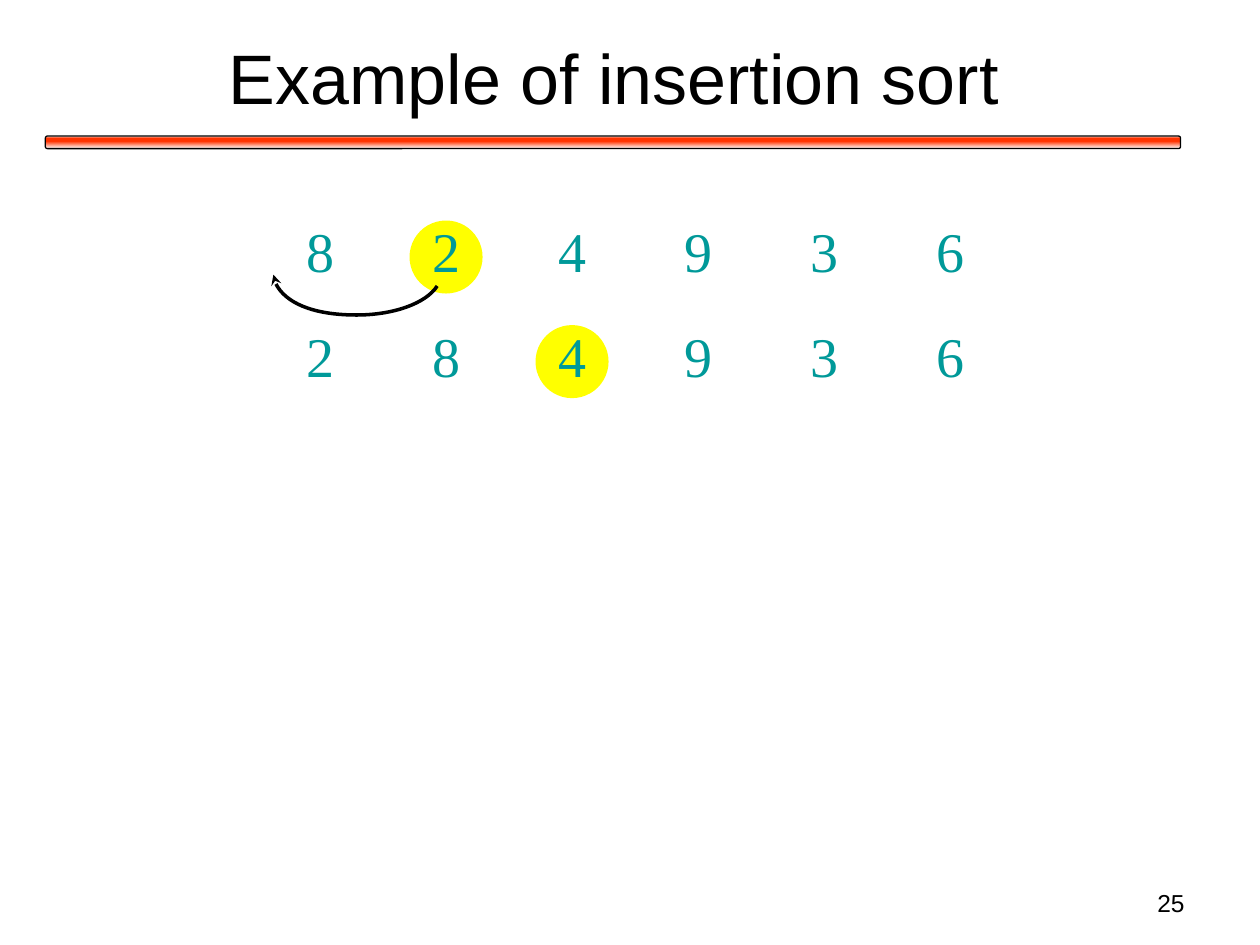
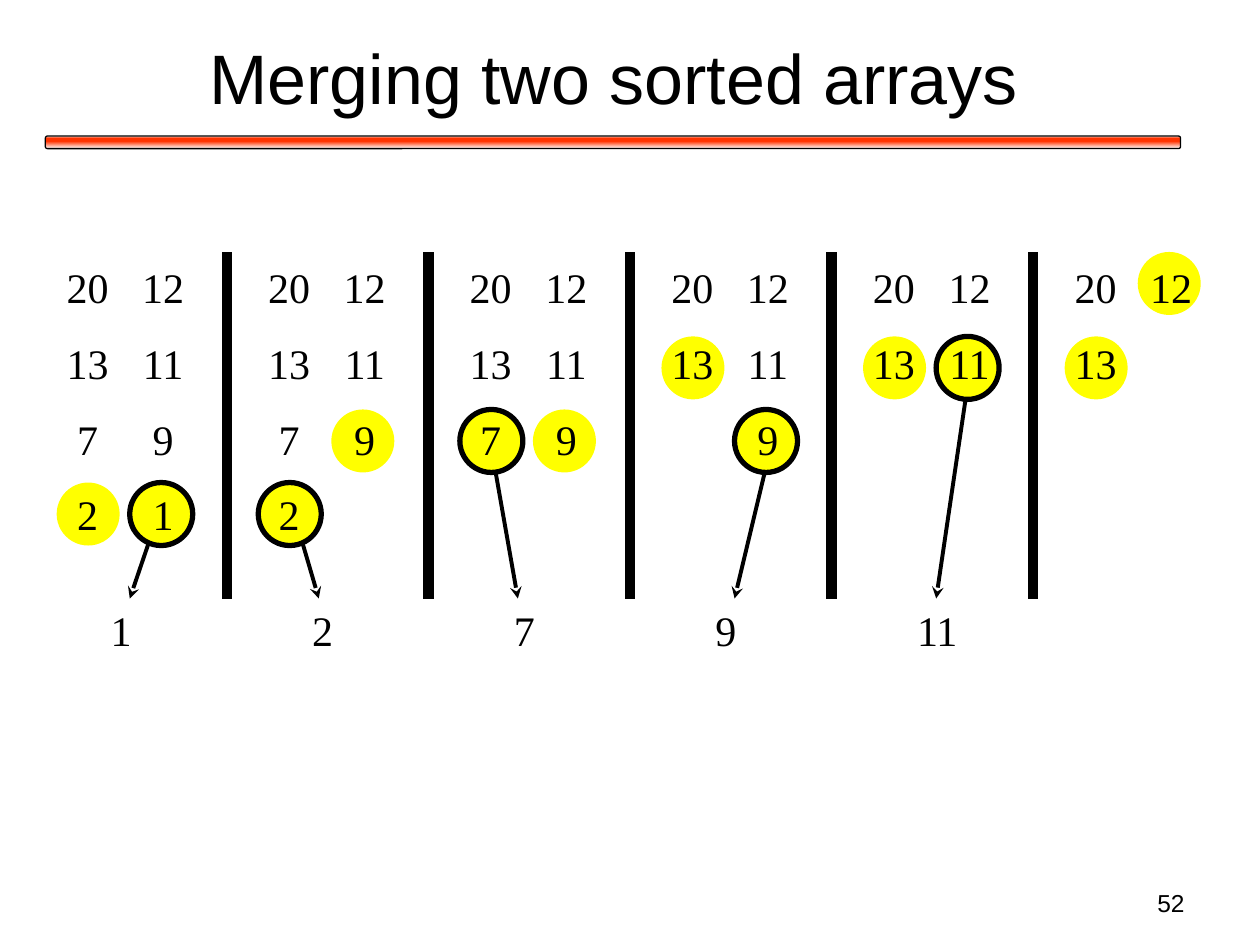
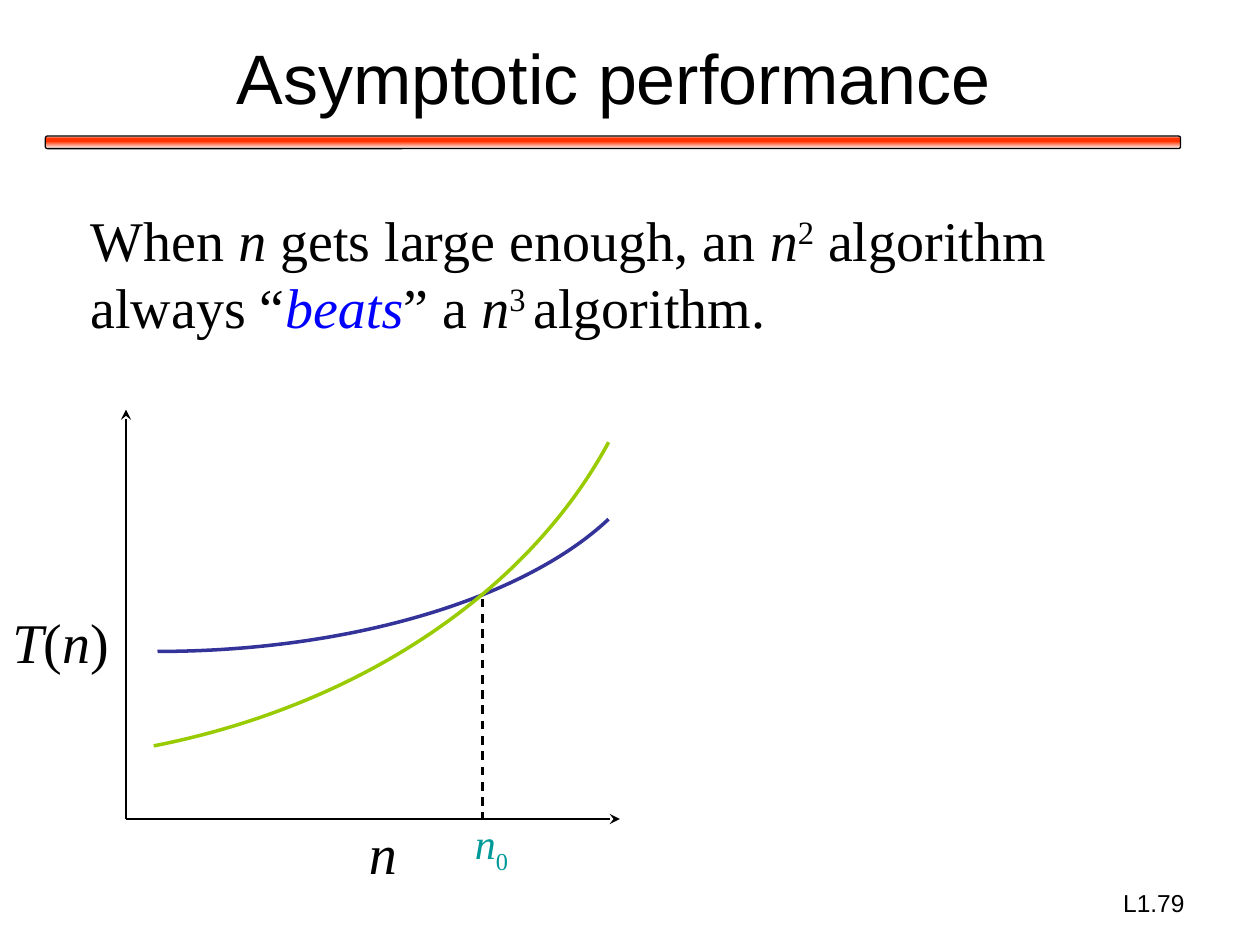
"""Build three algorithm slides: insertion sort, merging and asymptotic growth."""
from pptx import Presentation
from pptx.dml.color import RGBColor
from pptx.enum import dml, shapes, text
from pptx.oxml import ns, xmlchemy
from pptx.util import Inches, Pt

COLORS = {
    "black": "000000",
    "white": "FFFFFF",
    "red": "FF3300",
    "yellow": "FFFF00",
    "teal": "009999",
    "blue": "0000FF",
    "navy": "333399",
    "green": "99CC00",
}
SERIF = "Times New Roman"
SANS = "Arial"
ITALIC = {"italic": True}
RAISED = {"baseline": 30}
LOWERED = {"baseline": -25}


def write(box, content, size=32, font=SERIF, color="black", align="LEFT",
          spacing=None, wrap=False, anchor="TOP"):
    frame = box.text_frame
    frame.word_wrap = wrap
    frame.vertical_anchor = getattr(text.MSO_ANCHOR, anchor)
    for index, spans in enumerate(content):
        para = frame.add_paragraph() if index else frame.paragraphs[0]
        para.alignment = getattr(text.PP_ALIGN, align)
        if spacing:
            para.line_spacing = spacing
        for words, look in [(spans, {})] if isinstance(spans, str) else spans:
            span = para.add_run()
            span.text = words
            span.font.name = font
            span.font.size = Pt(size)
            span.font.italic = look.get("italic", False)
            span.font.color.rgb = RGBColor.from_string(COLORS[look.get("color", color)])
            if "baseline" in look:
                span.font._element.set("baseline", str(look["baseline"] * 1000))


def draw_line(page, points, width, color="black", arrow=False, dashed=False):
    points = [(Inches(x), Inches(y)) for x, y in points]
    if len(points) == 2:
        stroke = page.shapes.add_connector(shapes.MSO_CONNECTOR.STRAIGHT, *points[0], *points[1])
    else:
        builder = page.shapes.build_freeform(*points[0])
        builder.add_line_segments(points[1:], close=False)
        stroke = builder.convert_to_shape()
        stroke.fill.background()
        segments = stroke._element.findall(".//" + ns.qn("a:lnTo"))
        outline = segments[0].getparent()
        for start in range(0, len(segments), 3):
            curve = xmlchemy.OxmlElement("a:cubicBezTo")
            for segment in segments[start:start + 3]:
                curve.append(segment[0])
                outline.remove(segment)
            outline.append(curve)
    stroke.line.width = Pt(width)
    stroke.line.color.rgb = RGBColor.from_string(COLORS[color])
    if dashed:
        stroke.line.dash_style = dml.MSO_LINE.DASH
    properties = stroke._element.spPr
    if arrow:
        head = xmlchemy.OxmlElement("a:tailEnd")
        head.set("type", "stealth")
        properties.find(ns.qn("a:ln")).append(head)
    properties.append(xmlchemy.OxmlElement("a:effectLst"))


deck = Presentation()
deck.slide_width = Inches(10)
deck.slide_height = Inches(7.5)
layout = deck.slide_layouts[5]

pages = []
for title, number in [("Example of insertion sort", "25"),
                      ("Merging two sorted arrays", "52"),
                      ("Asymptotic performance", "L1.79")]:
    page = deck.slides.add_slide(layout)
    heading = page.shapes.title
    heading.left, heading.top = Inches(0.37), Inches(0.11)
    heading.width, heading.height = Inches(9), Inches(0.99)
    write(heading, [title], size=40, font=SANS, align="CENTER", wrap=True, anchor="MIDDLE")
    footer = page.shapes.add_textbox(Inches(7.17), Inches(7), Inches(2.33), Inches(0.35))
    write(footer, [number], size=14, font=SANS, align="RIGHT", wrap=True)
    pages.append(page)
sort_page, merge_page, growth_page = pages

bar = sort_page.shapes.add_shape(shapes.MSO_SHAPE.ROUNDED_RECTANGLE,
                                 Inches(0.36), Inches(1.08), Inches(9.01), Inches(0.1))
bar.shadow.inherit = False
bar.line.color.rgb = RGBColor.from_string(COLORS["black"])
bar.line.width = Pt(0.75)
bar.fill.gradient()
bar.fill.gradient_angle = 270
stops = bar._element.find(".//" + ns.qn("a:gsLst"))
for stop in list(stops):
    stops.remove(stop)
for position, name in [(0, "white"), (16, "red"), (42, "red"), (100, "white")]:
    stop = xmlchemy.OxmlElement("a:gs")
    stop.set("pos", str(position * 1000))
    tint = xmlchemy.OxmlElement("a:srgbClr")
    tint.set("val", COLORS[name])
    stop.append(tint)
    stops.append(stop)
layout.shapes._spTree.append(bar._element)

SORT_ROWS = ["824936", "284936"]
ROW_GAP = 0.83
circles = [(sort_page, 3.25 + row, 1.75 + ROW_GAP * row, 0.58, False)
           for row in range(len(SORT_ROWS))]

LEFT_ARRAY = [20, 13, 7, 2]
RIGHT_ARRAY = [12, 11, 9, 1]
STEP_WIDTH = 1.6
CIRCLE_TOPS = [2, 2.67, 3.25, 3.83]
MERGE_STEPS = [
    (4, 4, [(1.2, 4.25), (1.03, 4.75)]),
    (4, 3, [(2.36, 4.17), (2.53, 4.75)]),
    (3, 3, [(3.86, 3.33), (4.11, 4.75)]),
    (2, 3, [(6.11, 3.58), (5.83, 4.75)]),
    (2, 2, [(7.7, 2.92), (7.43, 4.75)]),
    (2, 1, None),
]
columns = []
results = []
for step, (left_count, right_count, arrow) in enumerate(MERGE_STEPS):
    step_left = 0.43 + STEP_WIDTH * step
    left_column, right_column = LEFT_ARRAY[:left_count], RIGHT_ARRAY[:right_count]
    smallest = min(left_column[-1], right_column[-1])
    for column, left, shift in [(left_column, step_left, 0.02),
                                (right_column, step_left + 0.6, 0)]:
        columns.append((column, left))
        chosen = arrow is not None and column[-1] == smallest
        circles.append((merge_page, left + shift, CIRCLE_TOPS[len(column) - 1], 0.5, chosen))
    if arrow:
        results.append((str(smallest), step_left + 0.35))
        draw_line(merge_page, arrow, 2.25, arrow=True)

for page, left, top, size, outlined in circles:
    circle = page.shapes.add_shape(shapes.MSO_SHAPE.OVAL, Inches(left), Inches(top),
                                   Inches(size), Inches(size))
    circle.shadow.inherit = False
    circle.fill.solid()
    circle.fill.fore_color.rgb = RGBColor.from_string(COLORS["yellow"])
    if outlined:
        circle.line.color.rgb = RGBColor.from_string(COLORS["black"])
        circle.line.width = Pt(3)
    else:
        circle.line.fill.background()

for row, digits in enumerate(SORT_ROWS):
    for place, digit in enumerate(digits):
        box = sort_page.shapes.add_textbox(Inches(2.33 + place), Inches(1.67 + ROW_GAP * row),
                                           Inches(0.42), Inches(0.63))
        write(box, [digit], color="teal", align="CENTER")
draw_line(sort_page, [(3.47, 2.27), (3.38, 2.41), (3.12, 2.5), (2.83, 2.5),
                      (2.47, 2.5), (2.18, 2.36), (2.17, 2.18)], 2, arrow=True)

for column, left in columns:
    box = merge_page.shapes.add_textbox(Inches(left), Inches(1.83), Inches(0.53),
                                        Inches(0.1 + 0.6 * len(column)))
    write(box, [str(value) for value in column], size=24, align="CENTER", spacing=1.5)
for result, left in results:
    box = merge_page.shapes.add_textbox(Inches(left), Inches(4.75),
                                        Inches(0.21 + 0.16 * len(result)), Inches(0.5))
    write(box, [result], size=24)
for step in range(len(results)):
    divider = 1.8 + STEP_WIDTH * step
    draw_line(merge_page, [(divider, 2), (divider, 4.75)], 6)

origin = (1, 6.5)
for axis_end in [(1, 3.25), (4.92, 6.5)]:
    draw_line(growth_page, [origin, axis_end], 1.25, arrow=True)
draw_line(growth_page, [(1.25, 5.17), (2.76, 5.17), (4.15, 4.76), (4.83, 4.12)], 2, color="navy")
draw_line(growth_page, [(1.22, 5.92), (2.85, 5.6), (4.19, 4.7), (4.83, 3.51)], 2, color="green")
draw_line(growth_page, [(3.83, 4.75), (3.83, 6.5)], 1.25, dashed=True)

statement = [
    ("When ", {}), ("n", ITALIC), (" gets large enough, an ", {}), ("n", ITALIC),
    ("2", RAISED), (" algorithm always “", {}), ("beats", {"italic": True, "color": "blue"}),
    ("” a ", {}), ("n", ITALIC), ("3 ", RAISED), ("algorithm.", {}),
]
time_label = [("T", ITALIC), ("(", {}), ("n", ITALIC), (")", {})]
for spans, left, top, width, height, look in [
    ([("n", ITALIC)], 2.83, 6.45, 0.42, 0.63, {}),
    (time_label, 0, 4.77, 0.97, 0.63, {}),
    ([("n", ITALIC), ("0", LOWERED)], 3.67, 6.44, 0.48, 0.5, {"size": 24, "color": "teal"}),
    (statement, 0.62, 1.58, 8.75, 1.17, {"wrap": True}),
]:
    box = growth_page.shapes.add_textbox(Inches(left), Inches(top), Inches(width), Inches(height))
    write(box, [spans], **look)

deck.save("out.pptx")
